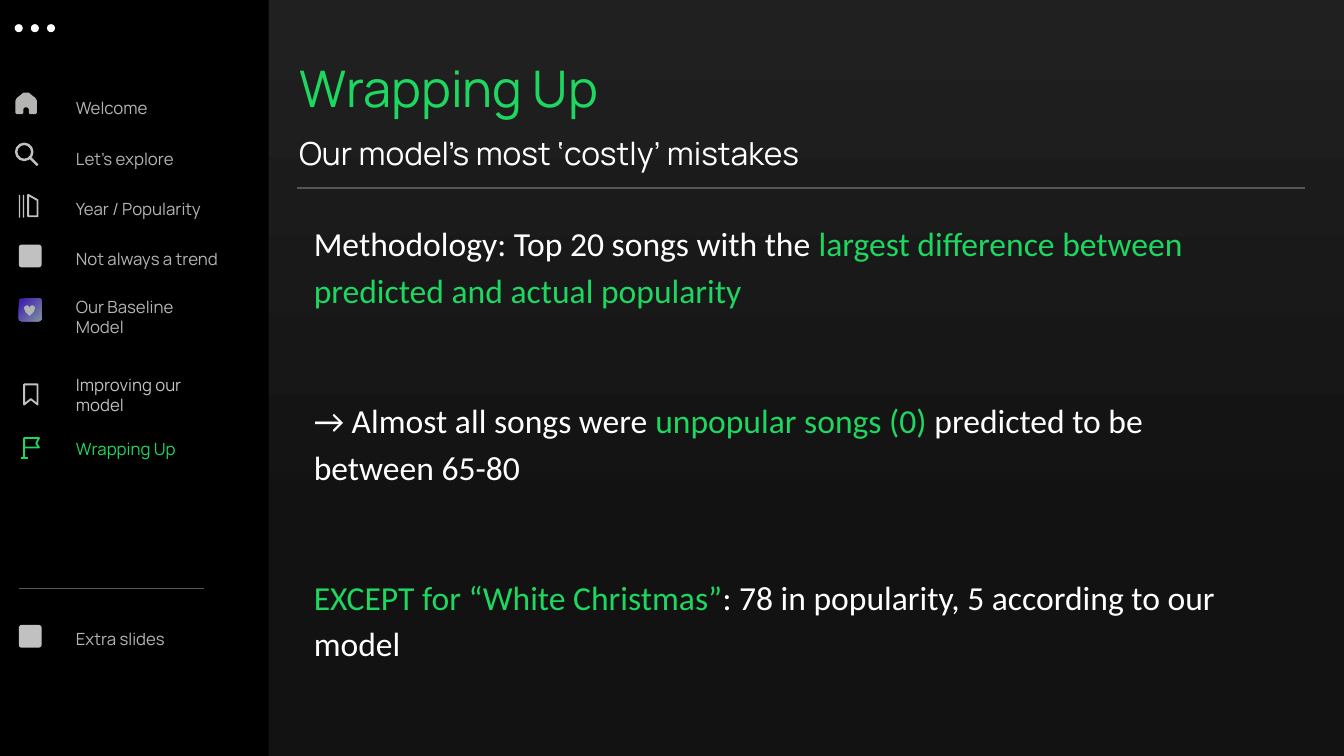
import pptx
import pptx.dml.color
import pptx.enum.shapes
import pptx.enum.text
import pptx.oxml.ns
import pptx.util
from lxml import etree

Inches = pptx.util.Inches
Pt = pptx.util.Pt
SHAPE = pptx.enum.shapes.MSO_SHAPE
WIDTH = 10
HEIGHT = WIDTH * 9 / 16

COLORS = {
    "green": "1ED760", "white": "FFFFFF", "black": "000000",
    "label": "B4B5B2", "icon": "C1C1C1", "rule": "555554",
    "back_top": "505050", "back_bottom": "2C2C2C",
    "panel_top": "202020", "panel_bottom": "121212",
    "tile_dark": "4224B0", "tile_light": "7F93A0",
}


def rgb(name):
    return pptx.dml.color.RGBColor.from_string(COLORS[name])


class Deck:
    """Holds the presentation style and the current slide."""

    font, body_font = "Manrope", "Calibri"

    def __init__(self):
        self.prs = pptx.Presentation()
        self.prs.slide_width = Inches(WIDTH)
        self.prs.slide_height = Inches(HEIGHT)
        self.s = self.prs.slides.add_slide(self.prs.slide_layouts[5])
        self.gradient(self.s.background,
                      [(0, "back_top"), (0.4, "back_bottom")], 270)

    def frame(self, sp):
        """Give a text holder the common insets, wrapping and anchor."""
        tf = sp.text_frame
        tf.word_wrap = True
        tf.auto_size = pptx.enum.text.MSO_AUTO_SIZE.NONE
        tf.vertical_anchor = pptx.enum.text.MSO_ANCHOR.TOP
        tf.margin_left = tf.margin_right = Pt(5.4)
        tf.margin_top = tf.margin_bottom = Pt(2.7)
        return tf

    def format_run(self, r, font, size, color):
        r.font.name, r.font.size = font, Pt(size)
        r.font.color.rgb = rgb(color)

    def title(self, text, box, size, color):
        """Fill the title placeholder and bring it in front of the panels."""
        sp = self.s.shapes.title
        sp.left, sp.top, sp.width, sp.height = map(Inches, box)
        self.line_of_text(sp, text, size, color)
        self.s.shapes._spTree.append(sp._element)

    def text(self, text, box, size, color):
        sp = self.s.shapes.add_textbox(*map(Inches, box))
        self.line_of_text(sp, text, size, color)

    def line_of_text(self, sp, text, size, color):
        tf = self.frame(sp)
        tf.text = text
        p = tf.paragraphs[0]
        p.alignment = pptx.enum.text.PP_ALIGN.LEFT
        self.format_run(p.runs[0], self.font, size, color)

    def body(self, paragraphs, box, size, gap):
        """Add paragraphs given as lists of (text, color) runs."""
        tf = self.frame(self.s.shapes.add_textbox(*map(Inches, box)))
        for i, runs in enumerate(paragraphs):
            p = tf.add_paragraph() if i else tf.paragraphs[0]
            p.line_spacing = 1.15
            p.space_before = Pt(gap if i else 0)
            for text, color in runs:
                r = p.add_run()
                r.text = text
                self.format_run(r, self.body_font, size, color)

    def paint(self, sp, fill=None, line=None, width=1):
        sp.shadow.inherit = False
        if fill:
            sp.fill.solid()
            sp.fill.fore_color.rgb = rgb(fill)
        else:
            sp.fill.background()
        if line:
            sp.line.color.rgb, sp.line.width = rgb(line), Pt(width)
        else:
            sp.line.fill.background()
        return sp

    def shape(self, kind, box, fill=None, line=None, width=1):
        sp = self.s.shapes.add_shape(kind, *map(Inches, box))
        return self.paint(sp, fill, line, width)

    def tile(self, top, fill="icon"):
        sp = self.shape(SHAPE.ROUNDED_RECTANGLE, (0.14, top, 0.17, 0.17), fill)
        sp.adjustments[0] = 0.13
        return sp

    def gradient(self, sp, stops, angle):
        sp.fill.gradient()
        sp.fill.gradient_angle = angle
        for stop, (position, color) in zip(sp.fill.gradient_stops, stops):
            stop.position, stop.color.rgb = position, rgb(color)

    def outline(self, points, fill=None, line=None, width=1):
        (x, y), *rest = [tuple(map(Inches, pt)) for pt in points]
        fb = self.s.shapes.build_freeform(x, y)
        fb.add_line_segments(rest, close=True)
        return self.paint(fb.convert_to_shape(), fill, line, width)

    def line(self, start, end, color, width):
        c = self.s.shapes.add_connector(
            pptx.enum.shapes.MSO_CONNECTOR.STRAIGHT,
            *map(Inches, (*start, *end)))
        c.line.color.rgb, c.line.width = rgb(color), Pt(width)
        etree.SubElement(c._element.spPr, pptx.oxml.ns.qn("a:effectLst"))


def draw_icons(d):
    # Home: the left half, mirrored about its middle
    mid = 0.195
    half = [(0, 0.69), (0.02, 0.69), (0.07, 0.73), (0.08, 0.75),
            (0.08, 0.83), (0.08, 0.84), (0.07, 0.85), (0.03, 0.85),
            (0.02, 0.84), (0.02, 0.81), (0.01, 0.8), (0, 0.8)]
    d.outline([(mid + x, y) for x, y in half]
              + [(mid - x, y) for x, y in reversed(half)], "label")
    # Search
    d.shape(SHAPE.OVAL, (0.12, 1.07, 0.12, 0.12), line="icon", width=1.3)
    d.line((0.22, 1.17), (0.28, 1.23), "icon", 1.3)
    # Books
    for x in (0.14, 0.17):
        d.shape(SHAPE.RECTANGLE, (x, 1.45, 0.01, 0.17), "icon")
    d.outline([(0.21, 1.45), (0.28, 1.49), (0.28, 1.61), (0.21, 1.61)],
              line="icon")
    # Tiles
    d.tile(1.82)
    heart_tile = d.tile(2.22)
    d.gradient(heart_tile, [(0.11, "tile_dark"), (1, "tile_light")], 315)
    d.shape(SHAPE.HEART, (0.18, 2.27, 0.08, 0.08), "label")
    d.tile(4.65)
    # Bookmark
    d.outline([(0.18, 2.86), (0.28, 2.86), (0.28, 3.01), (0.23, 2.97),
               (0.18, 3.01)], line="icon")
    # Flag
    d.outline([(0.18, 3.26), (0.29, 3.26), (0.27, 3.3), (0.29, 3.33),
               (0.18, 3.33)], line="green")
    d.line((0.18, 3.26), (0.18, 3.41), "green", 1)
    d.line((0.16, 3.41), (0.21, 3.41), "green", 1)


def main():
    d = Deck()
    panel = d.shape(SHAPE.RECTANGLE, (1.88, 0, WIDTH - 1.88, HEIGHT),
                    "panel_bottom")
    d.gradient(panel, [(0, "panel_top"), (0.73, "panel_bottom")], 270)
    d.shape(SHAPE.RECTANGLE, (0, 0, 2, HEIGHT), "black")
    for i in range(3):
        d.shape(SHAPE.OVAL, (0.11 + 0.12 * i, 0.18, 0.06, 0.06), "white")
    d.line((2.21, 1.4), (9.71, 1.4), "rule", 0.75)
    d.line((0.14, 4.38), (1.52, 4.38), "rule", 0.75)

    menu = [("Welcome", 0.69, 0.75, "label"),
            ("Let’s explore", 1.07, 1.19, "label"),
            ("Year / Popularity", 1.44, 1.23, "label"),
            ("Not always a trend", 1.81, 1.5, "label"),
            ("Our Baseline Model", 2.17, 0.94, "label"),
            ("Improving our model", 2.75, 1.06, "icon"),
            ("Wrapping Up", 3.23, 0.99, "green"),
            ("Extra slides", 4.64, 1.5, "label")]
    for text, top, width, color in menu:
        height = 0.38 if text.endswith("odel") else 0.23
        d.text(text, (0.49, top, width, height), 9, color)
    draw_icons(d)

    d.title("Wrapping Up", (2.15, 0.39, 6.21, 0.53), 27, "green")
    d.text("Our model’s most ‘costly’ mistakes", (2.15, 0.96, 6.97, 0.36),
           17, "white")
    d.body([
        [("Methodology: Top 20 songs with the ", "white"),
         ("largest difference between predicted and actual popularity",
          "green")],
        [("→ Almost all songs were", "white"),
         (" unpopular songs (0)", "green"),
         (" predicted to be between 65-80", "white")],
        [("EXCEPT for “White Christmas”", "green"),
         (": 78 in popularity, 5 according to our model", "white")],
    ], (2.26, 1.58, 7.26, 3.38), 18, 45)
    d.prs.save("out.pptx")


if __name__ == "__main__":
    main()
